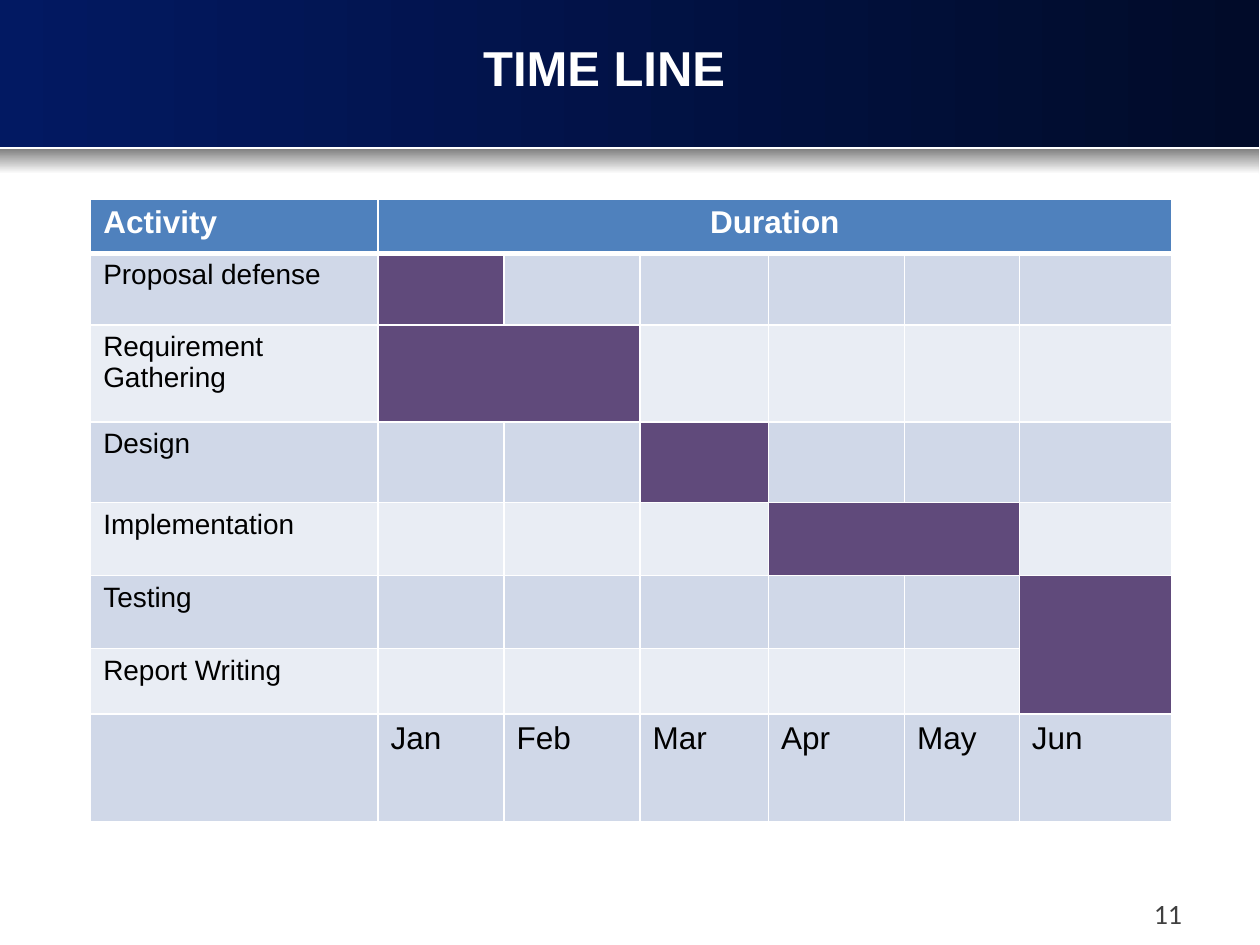
from lxml import etree
from pptx import Presentation, util as u
from pptx.dml.color import RGBColor
from pptx.enum import shapes, text
from pptx.oxml.ns import qn

# Content: activity, first month, number of months
MONTHS = ["Jan", "Feb", "Mar", "Apr", "May", "Jun"]
ACTIVITIES = [
    ("Proposal defense", 1, 1),
    ("Requirement Gathering", 1, 2),
    ("Design", 3, 1),
    ("Implementation", 4, 2),
    ("Testing", 6, 1),
    ("Report Writing", 6, 1),
]
COLUMN_WIDTHS = [2.28, 1, 1.08, 1.02, 1.08, 0.91, 1.21]
ROW_HEIGHTS = [0.43, 0.57, 0.77, 0.64, 0.58, 0.58, 0.52, 0.85]
HEADER, BAR, BANDS = "4F81BD", "604A7B", ("D0D8E8", "E9EDF4")

# Bands: left, top, width, height, start colour, end colour, angle
BACKDROPS = [
    (0, 0, 9.99, 1.17, "021962", "010B29", 0),
    (0, 1.18, 9.99, 0.2, "7F7F7F", "FFFFFF", 270),
]
LEFT, CENTER, RIGHT = text.PP_ALIGN.LEFT, text.PP_ALIGN.CENTER, text.PP_ALIGN.RIGHT
TOP, MIDDLE = text.MSO_ANCHOR.TOP, text.MSO_ANCHOR.MIDDLE
HEADING = dict(size=18, color="FFFFFF", bold=True)
ACTIVITY = dict(size=16, color="000000", bold=False)
MONTH = dict(ACTIVITY, size=18)
LABELS = [
    ("11", (8.07, 7.05, 1.41, 0.39), RIGHT, MIDDLE,
     dict(size=16, name="Calibri", color="404040")),
    ("TIME LINE", (0.8, 0.25, 7.99, 0.65), CENTER, TOP, dict(HEADING, size=28)),
]


def rgb(value):
    return RGBColor.from_string(value)


def inches(values):
    return [u.Inches(value) for value in values]


def write(frame, words, style, align=LEFT):
    paragraph = frame.paragraphs[0]
    paragraph.alignment = align
    run = paragraph.add_run()
    run.text = words
    for key, value in {"name": "Arial", **style}.items():
        if key == "color":
            run.font.color.rgb = rgb(value)
        else:
            setattr(run.font, key, u.Pt(value) if key == "size" else value)


def paint(cell, color):
    cell.fill.solid()
    cell.fill.fore_color.rgb = rgb(color)


def add_borders(cell, bottom):
    properties = cell._tc.get_or_add_tcPr()
    widths = {"lnL": 1, "lnR": 1, "lnT": 1, "lnB": bottom}
    for position, (side, width) in enumerate(widths.items()):
        line = etree.Element(qn(f"a:{side}"), w=str(u.Pt(width)))
        fill = etree.SubElement(line, qn("a:solidFill"))
        etree.SubElement(fill, qn("a:srgbClr"), val="FFFFFF")
        properties.insert(position, line)


deck = Presentation()
deck.slide_width, deck.slide_height = inches((10, 7.5))
slide = deck.slides.add_slide(deck.slide_layouts[6])

# Title band and the shade below it
for *box, start, end, angle in BACKDROPS:
    band = slide.shapes.add_shape(shapes.MSO_SHAPE.RECTANGLE, *inches(box))
    band.shadow.inherit = False
    band.line.fill.background()
    band.fill.gradient()
    band.fill.gradient_angle = angle
    for stop, color in zip(band.fill.gradient_stops, (start, end)):
        stop.color.rgb = rgb(color)

# Title and page number
for words, box, align, anchor, style in LABELS:
    frame = slide.shapes.add_textbox(*inches(box)).text_frame
    frame.word_wrap = True
    frame.vertical_anchor = anchor
    write(frame, words, style, align)

# Schedule grid
schedule = slide.shapes.add_table(
    len(ROW_HEIGHTS), len(COLUMN_WIDTHS),
    *inches((0.72, 1.58, sum(COLUMN_WIDTHS), sum(ROW_HEIGHTS)))).table
for column, width in zip(schedule.columns, COLUMN_WIDTHS):
    column.width = u.Inches(width)
for r, height in enumerate(ROW_HEIGHTS):
    schedule.rows[r].height = u.Inches(height)
    for c in range(len(COLUMN_WIDTHS)):
        cell = schedule.cell(r, c)
        paint(cell, BANDS[(r - 1) % 2] if r else HEADER)
        add_borders(cell, 1 if r else 3)

# Headings and months
schedule.cell(0, 1).merge(schedule.cell(0, len(MONTHS)))
write(schedule.cell(0, 0).text_frame, "Activity", HEADING)
write(schedule.cell(0, 1).text_frame, "Duration", HEADING, CENTER)
for c, month in enumerate(MONTHS, 1):
    write(schedule.cell(len(ROW_HEIGHTS) - 1, c).text_frame, month, MONTH)

# Activities and their bars
for r, (activity, first, months) in enumerate(ACTIVITIES, 1):
    write(schedule.cell(r, 0).text_frame, activity, ACTIVITY)
    for c in range(first, first + months):
        paint(schedule.cell(r, c), BAR)
    if months > 1:
        schedule.cell(r, first).merge(schedule.cell(r, first + months - 1))

# Testing and report writing share one bar in June
schedule.cell(5, 6).merge(schedule.cell(6, 6))

deck.save("out.pptx")
